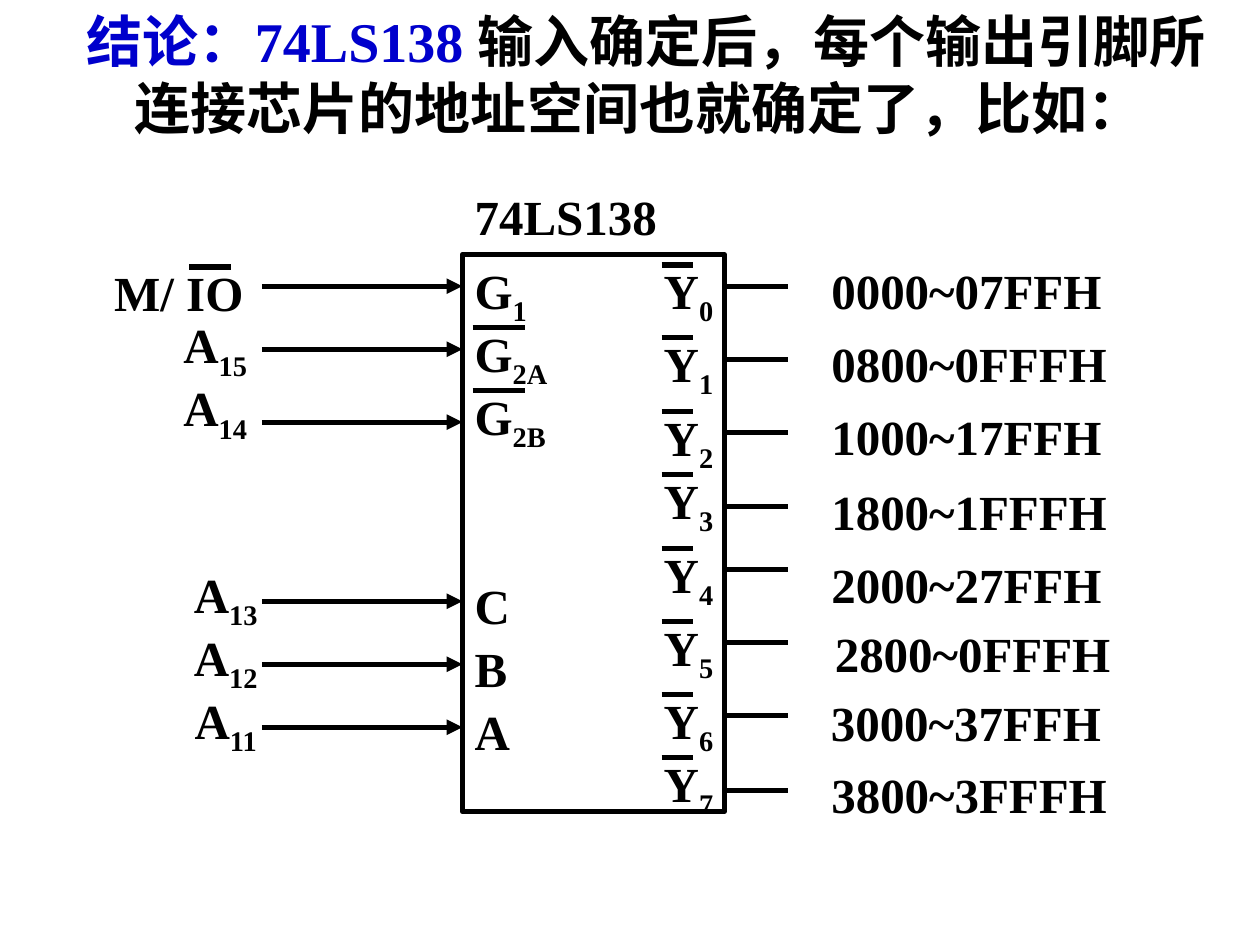
from lxml.etree import SubElement as Sub
from pptx import Presentation
from pptx.dml.color import RGBColor as Rgb
from pptx.enum.shapes import MSO_CONNECTOR as Conn, MSO_SHAPE as Shape
from pptx.enum.text import MSO_AUTO_SIZE as Fit, PP_ALIGN as Align
from pptx.oxml.ns import qn
from pptx.util import Cm, Pt

# Content; lengths in centimetres
FONT, BLACK, BLUE = "Times New Roman", "000000", "0000CC"
TITLE = [("结论：74LS138 ", BLUE),
         ("输入确定后，每个输出引脚所连接芯片的地址空间也就确定了，比如：", BLACK)]
CHIP = (9.32, 5.13, 5.28, 11.23)

# signal, subscript, left, top, width, wire height
INPUTS = [
    ("M/ IO", "", 1.7, 5.16, 3.81, 5.77),
    ("A", "15", 2.97, 6.22, 2.74, 7.04),
    ("A", "14", 2.97, 7.49, 2.74, 8.51),
    ("A", "13", 3.18, 11.25, 2.74, 12.12),
    ("A", "12", 3.18, 12.52, 2.74, 13.39),
    ("A", "11", 3.18, 13.79, 2.74, 14.66),
]
# pin, subscript, top, width
PINS = [
    ("G", "1", 5.13, 1.9), ("G", "2A", 6.4, 2.97), ("G", "2B", 7.67, 3.18),
    ("C", "", 11.48, 1.9), ("B", "", 12.75, 1.9), ("A", "", 14.02, 1.9),
]
# address range, left, top, pin label top, wire height
OUTPUTS = [
    ("0000~07FFH", 16.51, 5.13, 5.13, 5.77),
    ("0800~0FFFH", 16.51, 6.6, 6.6, 7.24),
    ("1000~17FFH", 16.51, 8.08, 8.08, 8.72),
    ("1800~1FFFH", 16.51, 9.58, 9.35, 10.21),
    ("2000~27FFH", 16.51, 11.05, 10.85, 11.48),
    ("2800~0FFFH", 16.58, 12.45, 12.32, 12.95),
    ("3000~37FFH", 16.5, 13.84, 13.79, 14.43),
    ("3800~3FFFH", 16.51, 15.29, 15.06, 15.93),
]

deck = Presentation()
deck.slide_width, deck.slide_height = Cm(25.4), Cm(19.05)
slide = deck.slides.add_slide(deck.slide_layouts[6])
parts = slide.shapes


def color(code):
    return Rgb.from_string(code)


def write(runs, left, top, width, height=1.45, size=28, align=Align.LEFT,
          before=17.5, hang=0, fit=Fit.SHAPE_TO_FIT_TEXT):
    """Add a text box; runs is a string or (text, colour[, baseline]) tuples."""
    box = parts.add_textbox(Cm(left), Cm(top), Cm(width), Cm(height))
    frame = box.text_frame
    frame.word_wrap, frame.auto_size = True, fit
    para = frame.paragraphs[0]
    para.alignment, para.space_before = align, Pt(before)
    if hang:
        props = para._p.get_or_add_pPr()
        props.set("marL", str(Cm(hang)))
        props.set("indent", str(-Cm(hang)))
    for text, code, *base in [(runs, BLACK)] if isinstance(runs, str) else runs:
        run = para.add_run()
        run.text = text
        font = run.font
        font.name, font.size, font.bold = FONT, Pt(size), True
        font.color.rgb = color(code)
        if base:
            font._element.set("baseline", str(base[0]))


def label(name, sub, left, top, width, **kind):
    runs = [(name, BLACK)]
    if sub:
        runs.append((sub, BLACK, -25000))
    write(runs, left, top, width, height=1.6 if sub else 1.45, **kind)


def wire(start, end, y, arrow=False):
    line = parts.add_connector(Conn.STRAIGHT, Cm(start), Cm(y), Cm(end), Cm(y))
    line.line.color.rgb, line.line.width = color(BLACK), Pt(3)
    if arrow:
        Sub(line.line._get_or_add_ln(), qn("a:tailEnd"), type="triangle")
    Sub(line._element.spPr, qn("a:effectLst"))


# Title
write(TITLE, 1.5, 0, 23.39, 3.53, size=32, before=8, hang=0.97, fit=Fit.NONE)

# Chip body and name
chip = parts.add_shape(Shape.RECTANGLE, *map(Cm, CHIP))
chip.shadow.inherit = False
chip.fill.background()
chip.line.color.rgb, chip.line.width = color(BLACK), Pt(3)
edge, end = CHIP[0], CHIP[0] + CHIP[2]
write("74LS138", edge, 3.63, 4.65)

# Pins on the left side, with bars over the active-low ones
for name, sub, top, width in PINS:
    label(name, sub, edge, top, width)
    if sub.startswith("2"):
        wire(9.53, 10.59, top + 0.2)

# Input signals and arrows
for name, sub, left, top, width, y in INPUTS:
    label(name, sub, left, top, width, align=Align.CENTER)
    wire(5.28, edge, y, arrow=True)
wire(3.81, 4.65, 5.38)

# Output pins, wires and address ranges
for num, (span, left, top, pin, y) in enumerate(OUTPUTS):
    label("Y", str(num), 13.13, pin, 1.9)
    wire(13.34, 13.97, pin + 0.21)
    wire(end, 15.88, y)
    write(span, left, top, 6.99)

deck.save("out.pptx")
